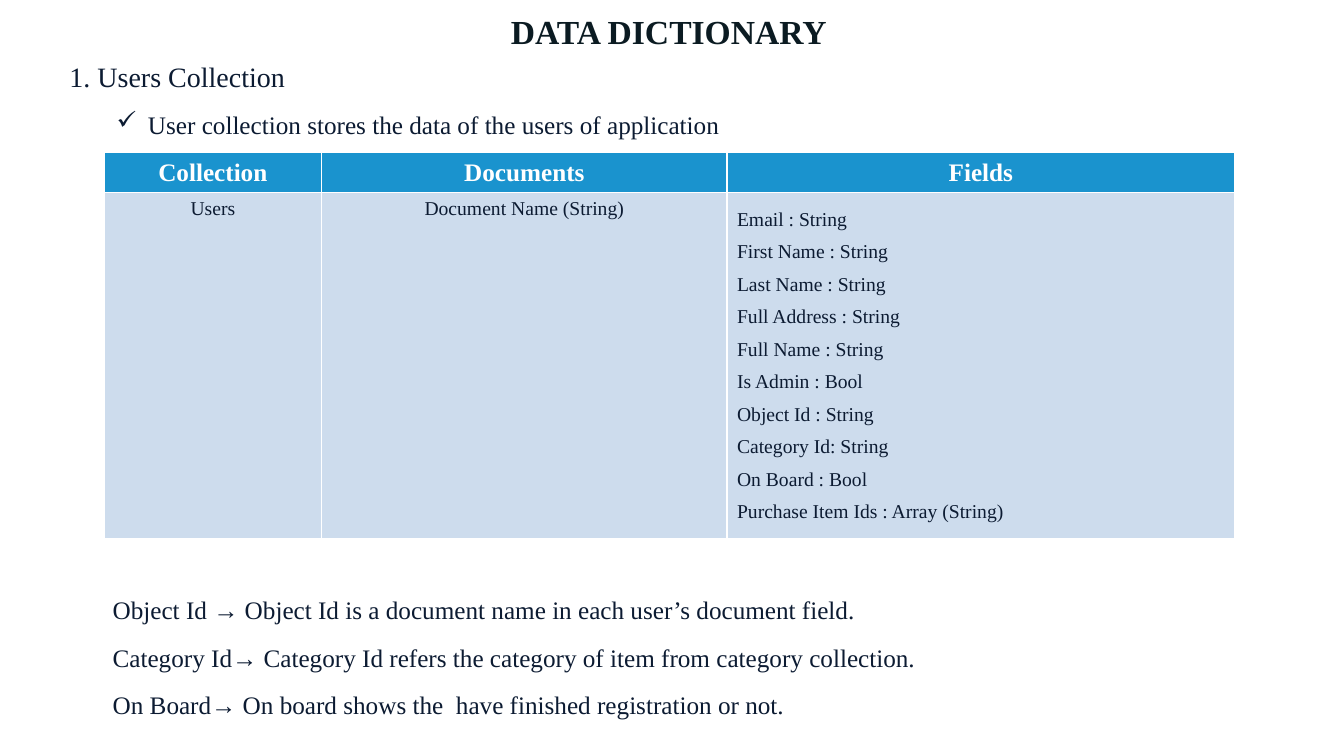
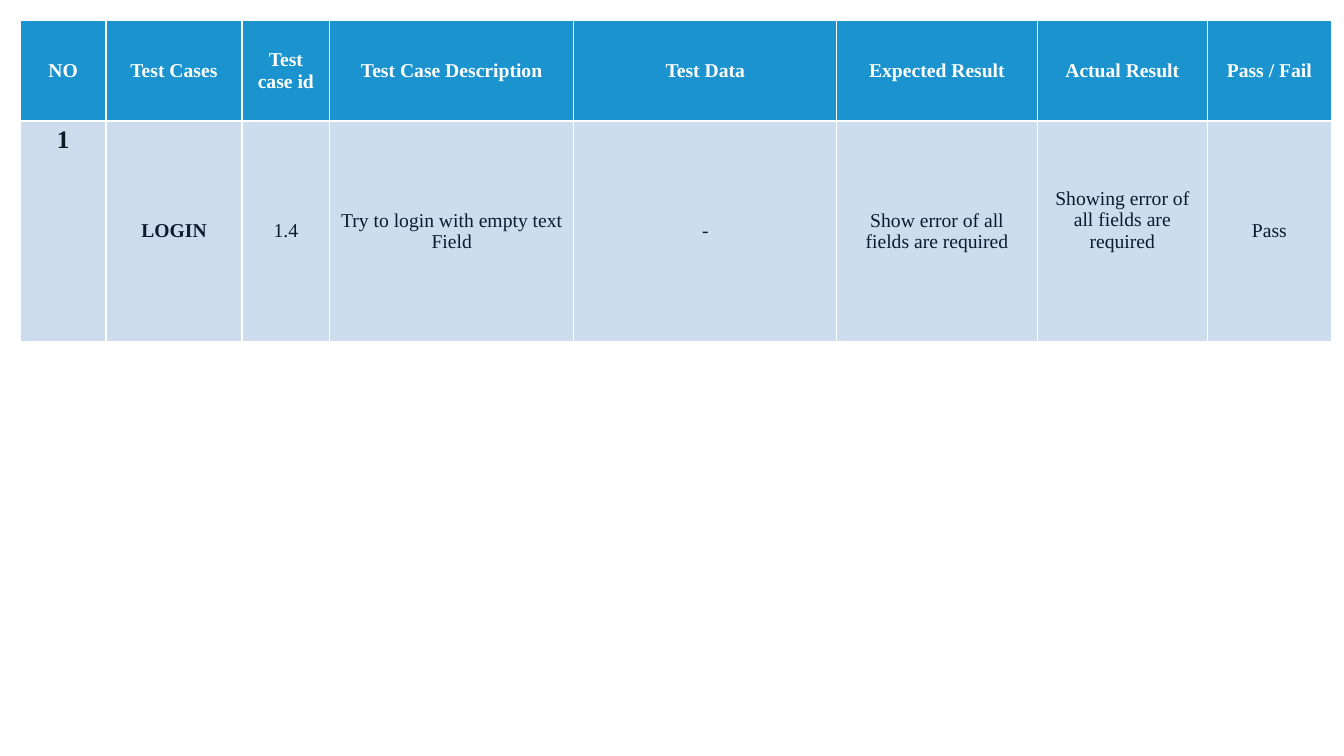
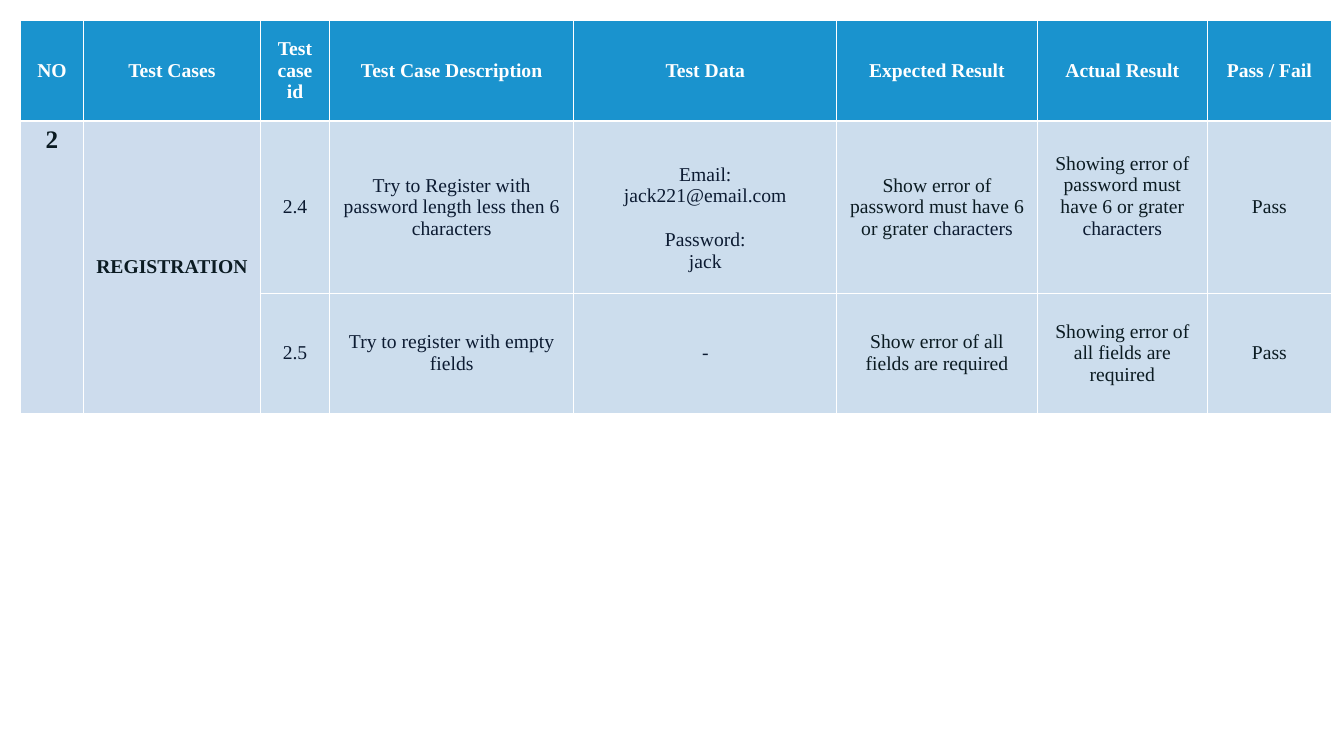
"""Build three slides: a data dictionary and two test case tables."""
from dataclasses import dataclass

import pptx
import pptx.dml.color
import pptx.enum.text
import pptx.oxml
import pptx.oxml.ns
import pptx.util

Cm = pptx.util.Cm
Pt = pptx.util.Pt
Align = pptx.enum.text.PP_ALIGN
Anchor = pptx.enum.text.MSO_ANCHOR

FONT = "Times New Roman"
COLORS = {
    "header": "1A93CE",
    "label": "CDDCED",
    "body": "CCDDED",
    "white": "FFFFFF",
    "navy": "0C1B32",
    "ink": "0B1B22",
}
LINE = 16
LINE_CM = 0.56
CASE_HEADERS = ("NO", "Test Cases", "Test case id", "Test Case Description", "Test Data",
                "Expected Result", "Actual Result", "Pass / Fail")
CASE_WIDTHS = (6.15, 6.63, 5.05, 4.29, 3.12)
REQUIRED = "error of all fields are required"
LENGTH = "error of password must have 6 or grater "


@dataclass(frozen=True)
class Entry:
    """Hold the content and style of one table cell."""
    lines: tuple[str, ...]
    color: str = "navy"
    fill: str = "body"
    size: int = 14
    bold: bool = False
    align: Align = Align.CENTER
    anchor: Anchor = Anchor.MIDDLE
    spacing: float = 1.0
    tail: str = ""
    pad_top: float = 0
    pad_bottom: float = 0
    gap_line: int = 0
    rows: int = 1


@dataclass(frozen=True)
class Grid:
    """Hold the place and content of one table; None marks a merged cell."""
    left: float
    top: float
    widths: tuple[float, ...]
    heights: tuple[float, ...]
    rows: tuple[tuple[Entry | None, ...], ...]


@dataclass(frozen=True)
class Label:
    """Hold the place and style of one line of text."""
    text: str
    left: float
    top: float
    width: float
    height: float = 1.02
    size: int = 18
    color: str = "navy"
    heading: bool = False
    bullet: str = ""


def rgb(name: str) -> pptx.dml.color.RGBColor:
    """Return a named colour."""
    return pptx.dml.color.RGBColor.from_string(COLORS[name])


def style(paragraph, size: int, bold: bool) -> None:
    """Set the font shared by all runs of a paragraph."""
    paragraph.font.name = FONT
    paragraph.font.size = Pt(size)
    paragraph.font.bold = bold


def add_bullet(paragraph, symbol: str) -> None:
    """Give a paragraph a hanging bullet."""
    properties = paragraph._p.get_or_add_pPr()
    properties.set("marL", str(Cm(0.79)))
    properties.set("indent", str(Cm(-0.79)))
    namespace = pptx.oxml.ns.nsdecls("a")
    properties.append(pptx.oxml.parse_xml(f'<a:buChar {namespace} char="{symbol}"/>'))


def add_label(page, label: Label) -> None:
    """Draw one line of text."""
    box = page.shapes.add_textbox(Cm(label.left), Cm(label.top), Cm(label.width), Cm(label.height))
    frame = box.text_frame
    frame.word_wrap = label.heading
    frame.auto_size = pptx.enum.text.MSO_AUTO_SIZE.SHAPE_TO_FIT_TEXT
    paragraph = frame.paragraphs[0]
    paragraph.text = label.text
    if label.bullet:
        add_bullet(paragraph, label.bullet)
    paragraph.alignment = Align.CENTER if label.heading else Align.LEFT
    style(paragraph, label.size, label.heading)
    paragraph.font.color.rgb = rgb(label.color)


def fill_cell(cell, entry: Entry) -> None:
    """Write and style one table cell."""
    cell.fill.solid()
    cell.fill.fore_color.rgb = rgb(entry.fill)
    cell.vertical_anchor = entry.anchor
    cell.margin_top = Cm(0.13 + entry.pad_top)
    cell.margin_bottom = Cm(0.13 + entry.pad_bottom)
    frame = cell.text_frame
    for index, line in enumerate(entry.lines):
        paragraph = frame.paragraphs[0] if index == 0 else frame.add_paragraph()
        paragraph.alignment = entry.align
        paragraph.line_spacing = entry.spacing
        if index and index == entry.gap_line:
            paragraph.space_before = Pt(LINE)
        style(paragraph, entry.size, entry.bold)
        span = paragraph.add_run()
        span.text = line
        if entry.tail:
            span.font.color.rgb = rgb(entry.color)
            ending = paragraph.add_run()
            ending.text = entry.tail
            ending.font.color.rgb = rgb("navy")
        else:
            paragraph.font.color.rgb = rgb(entry.color)


def add_grid(page, grid: Grid) -> None:
    """Draw one table."""
    table = page.shapes.add_table(
        len(grid.heights), len(grid.widths), Cm(grid.left), Cm(grid.top),
        Cm(sum(grid.widths)), Cm(sum(grid.heights))).table
    for column, width in zip(table.columns, grid.widths):
        column.width = Cm(width)
    for row, height in zip(table.rows, grid.heights):
        row.height = Cm(height)
    for y, entries in enumerate(grid.rows):
        for x, entry in enumerate(entries):
            if entry is None:
                continue
            cell = table.cell(y, x)
            if entry.rows > 1:
                cell.merge(table.cell(y + entry.rows - 1, x))
            fill_cell(cell, entry)


def header(texts: tuple[str, ...], size: int) -> tuple[Entry, ...]:
    """Return the cells of a header row."""
    return tuple(Entry((text,), "white", "header", size, True) for text in texts)


def number(text: str, rows: int = 1) -> Entry:
    """Return the cell with the number of a test group."""
    return Entry((text,), "ink", "label", 18, True, anchor=Anchor.TOP, rows=rows)


def group(text: str, color: str, rows: int = 1) -> Entry:
    """Return the cell with the name of a test group."""
    return Entry((text,), color, "label", bold=True, rows=rows)


def case_grid(first_widths: tuple[float, ...], heights: tuple[float, ...],
              *rows: tuple[Entry | None, ...]) -> Grid:
    """Return a test case table."""
    return Grid(0.51, 0.51, first_widths + CASE_WIDTHS, (2.54,) + heights,
                (header(CASE_HEADERS, 14),) + rows)


DICTIONARY = Grid(2.62, 3.84, (5.49, 10.21, 12.8), (1.02, 8.71), (
    header(("Collection", "Documents", "Fields"), 18),
    (
        Entry(("Users",), fill="label", anchor=Anchor.TOP),
        Entry(("Document Name (String)",), fill="label", anchor=Anchor.TOP),
        Entry(("Email : String", "First Name : String", "Last Name : String",
               "Full Address : String", "Full Name : String", "Is Admin : Bool",
               "Object Id : String", "Category Id: String", "On Board : Bool",
               "Purchase Item Ids : Array (String)"),
              fill="label", align=Align.LEFT, anchor=Anchor.TOP, spacing=1.5),
    ),
))

LABELS = (
    Label("DATA DICTIONARY", 0, 0.15, 33.71, 1.27, 24, "ink", heading=True),
    Label("1. Users Collection", 1.5, 1.37, 5.99, 1.12, 20),
    Label("User collection stores the data of the users of application",
          2.69, 2.64, 16.03, bullet="✓"),
    Label("Object Id → Object Id is a document name in each user’s document field.",
          2.59, 14.86, 19.41),
    Label("Category Id→ Category Id refers the category of item from category collection.",
          2.59, 16.05, 20.78),
    Label("On Board→ On board shows the  have finished registration or not.",
          2.59, 17.25, 17.45),
)

LOGIN = case_grid((2.16, 3.43, 2.21), (5.56,), (
    number("1"),
    group("LOGIN", "navy"),
    Entry(("1.4",)),
    Entry(("Try to login with empty text Field",)),
    Entry(("-",)),
    Entry((f"Show {REQUIRED}",)),
    Entry((f"Showing {REQUIRED}",), pad_bottom=LINE_CM),
    Entry(("Pass",)),
))

REGISTRATION = case_grid((1.6, 4.45, 1.75), (4.34, 3.02), (
    number("2", 2),
    group("REGISTRATION", "ink", 2),
    Entry(("2.4",)),
    Entry(("Try to Register with password length less then 6 characters",)),
    Entry(("Email:", "jack221@email.com", "Password:", "jack"), pad_top=LINE_CM, gap_line=2),
    Entry((f"Show {LENGTH}",), "ink", tail="characters"),
    Entry((f"Showing {LENGTH}",), "ink", tail="characters", pad_bottom=LINE_CM),
    Entry(("Pass",), "ink"),
), (
    None,
    None,
    Entry(("2.5",)),
    Entry(("Try to register with empty fields",)),
    Entry(("-",)),
    Entry((f"Show {REQUIRED}",), "ink"),
    Entry((f"Showing {REQUIRED}",), "ink"),
    Entry(("Pass",), "ink"),
))


def main() -> None:
    """Build and save the deck."""
    deck = pptx.Presentation()
    deck.slide_width = Cm(33.87)
    deck.slide_height = Cm(19.05)
    for grid, labels in ((DICTIONARY, LABELS), (LOGIN, ()), (REGISTRATION, ())):
        page = deck.slides.add_slide(deck.slide_layouts[6])
        add_grid(page, grid)
        for label in labels:
            add_label(page, label)
    deck.save("out.pptx")


if __name__ == "__main__":
    main()
